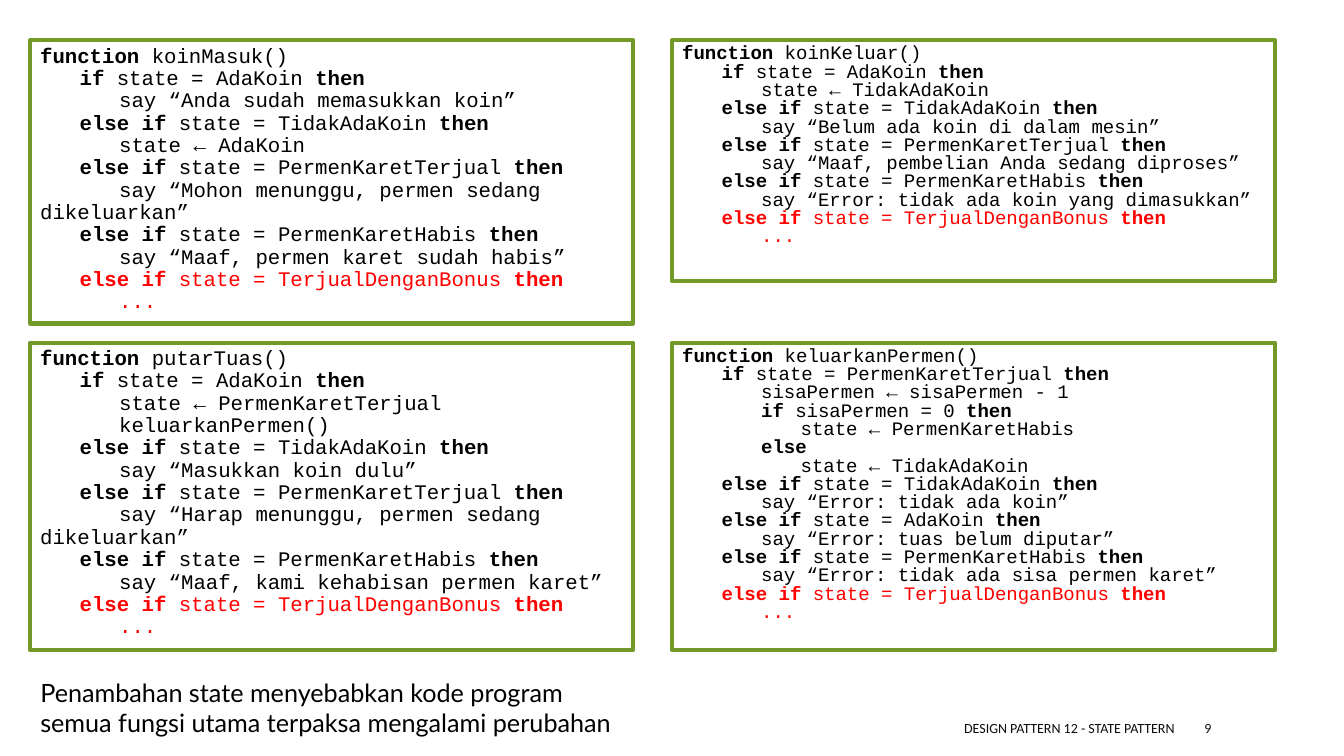
"""Build the slide showing the four state functions that a new state forces to change."""
from typing import NamedTuple

from lxml import etree
from pptx import Presentation
from pptx import util as u
from pptx.dml import color
from pptx.enum import shapes, text
from pptx.oxml import ns

GREEN, RED, BLACK, GREY = "739A28", "FF0000", "000000", "0D0D0D"
TAB_STEP = 28.2
COLUMNS = (21.6, 480.2)
ROWS = (28.8, 244.8)
PANEL_WIDTH = 430.6
OPENERS = ("function", "else if", "if", "else")
CLOSER = "then"
BONUS_LINES = ("\telse if state = TerjualDenganBonus then", "\t\t...")


class CodeStyle(NamedTuple):
    """Size and line spacing of a code listing."""
    size: float
    spacing: float


class CodePanel(NamedTuple):
    """A framed function listing at a grid cell."""
    column: int
    row: int
    height: float
    style: CodeStyle
    lines: tuple[str, ...]


class Label(NamedTuple):
    """A line of footer text."""
    left: float
    width: float
    words: str
    alignment: text.PP_ALIGN


LARGE = CodeStyle(14.8, 0.9)
SMALL = CodeStyle(13.6, 0.8)

PANELS = (
    CodePanel(0, 0, 202.3, LARGE, (
        "function koinMasuk()",
        "\tif state = AdaKoin then",
        "\t\tsay “Anda sudah memasukkan koin”",
        "\telse if state = TidakAdaKoin then",
        "\t\tstate ← AdaKoin",
        "\telse if state = PermenKaretTerjual then",
        "\t\tsay “Mohon menunggu, permen sedang dikeluarkan”",
        "\telse if state = PermenKaretHabis then",
        "\t\tsay “Maaf, permen karet sudah habis”",
    )),
    CodePanel(1, 0, 172.1, SMALL, (
        "function koinKeluar()",
        "\tif state = AdaKoin then",
        "\t\tstate ← TidakAdaKoin",
        "\telse if state = TidakAdaKoin then",
        "\t\tsay “Belum ada koin di dalam mesin”",
        "\telse if state = PermenKaretTerjual then",
        "\t\tsay “Maaf, pembelian Anda sedang diproses”",
        "\telse if state = PermenKaretHabis then",
        "\t\tsay “Error: tidak ada koin yang dimasukkan”",
    )),
    CodePanel(0, 1, 219.6, LARGE, (
        "function putarTuas()",
        "\tif state = AdaKoin then",
        "\t\tstate ← PermenKaretTerjual",
        "\t\tkeluarkanPermen()",
        "\telse if state = TidakAdaKoin then",
        "\t\tsay “Masukkan koin dulu”",
        "\telse if state = PermenKaretTerjual then",
        "\t\tsay “Harap menunggu, permen sedang dikeluarkan”",
        "\telse if state = PermenKaretHabis then",
        "\t\tsay “Maaf, kami kehabisan permen karet”",
    )),
    CodePanel(1, 1, 219.6, SMALL, (
        "function keluarkanPermen()",
        "\tif state = PermenKaretTerjual then",
        "\t\tsisaPermen ← sisaPermen - 1",
        "\t\tif sisaPermen = 0 then",
        "\t\t\tstate ← PermenKaretHabis",
        "\t\telse",
        "\t\t\tstate ← TidakAdaKoin",
        "\telse if state = TidakAdaKoin then",
        "\t\tsay “Error: tidak ada koin”",
        "\telse if state = AdaKoin then",
        "\t\tsay “Error: tuas belum diputar”",
        "\telse if state = PermenKaretHabis then",
        "\t\tsay “Error: tidak ada sisa permen karet”",
    )),
)

FOOTER = (
    Label(381.6, 464.4, "DESIGN PATTERN 12 - STATE PATTERN", text.PP_ALIGN.RIGHT),
    Label(853.2, 76.3, "9", text.PP_ALIGN.LEFT),
)


def rgb(value: str) -> color.RGBColor:
    """Turn a hex string into a colour."""
    return color.RGBColor.from_string(value)


def set_font(paragraph, name: str, size: float, hue: str) -> None:
    """Set the font shared by all runs of a paragraph."""
    paragraph.font.name = name
    paragraph.font.size = u.Pt(size)
    paragraph.font.color.rgb = rgb(hue)


def add_tab_stops(paragraph) -> None:
    """Give a paragraph evenly spaced tab stops."""
    properties = paragraph._p.get_or_add_pPr()
    stops = etree.SubElement(properties, ns.qn("a:tabLst"))
    for number in range(1, 4):
        etree.SubElement(stops, ns.qn("a:tab"), pos=str(u.Pt(TAB_STEP * number)), algn="l")


def split_keywords(line: str) -> list[tuple[str, bool]]:
    """Split a code line into pieces, each with its bold flag."""
    code = line.lstrip("\t")
    indent = line[:len(line) - len(code)]
    opener = next((word for word in OPENERS if f"{code} ".startswith(f"{word} ")), "")
    rest = code[len(opener):]
    closer = CLOSER if rest.endswith(f" {CLOSER}") else ""
    middle = rest.removesuffix(closer)
    pieces = [(indent, False), (opener, True), (middle, False), (closer, True)]
    return [piece for piece in pieces if piece[0]]


def add_code_line(paragraph, line: str, style: CodeStyle, hue: str) -> None:
    """Write one code line with bold keywords."""
    add_tab_stops(paragraph)
    paragraph.alignment = text.PP_ALIGN.LEFT
    paragraph.line_spacing = style.spacing
    set_font(paragraph, "Courier New", style.size, hue)
    for words, bold in split_keywords(line):
        run = paragraph.add_run()
        run.text = words
        run.font.bold = bold


def add_panel(slide, panel: CodePanel) -> None:
    """Draw a framed function listing."""
    shape = slide.shapes.add_shape(
        shapes.MSO_SHAPE.RECTANGLE, u.Pt(COLUMNS[panel.column]), u.Pt(ROWS[panel.row]),
        u.Pt(PANEL_WIDTH), u.Pt(panel.height))
    shape.shadow.inherit = False
    shape.fill.background()
    shape.line.color.rgb = rgb(GREEN)
    shape.line.width = u.Pt(3)
    frame = shape.text_frame
    frame.word_wrap = True
    frame.vertical_anchor = text.MSO_ANCHOR.TOP
    for index, line in enumerate(panel.lines + BONUS_LINES):
        paragraph = frame.add_paragraph() if index else frame.paragraphs[0]
        add_code_line(paragraph, line, panel.style, RED if line in BONUS_LINES else BLACK)


def add_label(slide, label: Label) -> None:
    """Write one footer label."""
    box = slide.shapes.add_textbox(u.Pt(label.left), u.Pt(509.4), u.Pt(label.width), u.Pt(21.6))
    frame = box.text_frame
    frame.word_wrap = True
    frame.vertical_anchor = text.MSO_ANCHOR.MIDDLE
    paragraph = frame.paragraphs[0]
    paragraph.text = label.words
    paragraph.alignment = label.alignment
    set_font(paragraph, "Calibri", 10, GREY)


def set_title(slide) -> None:
    """Place the slide's message below the listings."""
    title = slide.shapes.title
    title.left, title.top = u.Pt(COLUMNS[0]), u.Pt(480.2)
    title.width, title.height = u.Pt(434.2), u.Pt(51.1)
    frame = title.text_frame
    frame.text = ("Penambahan state menyebabkan kode program "
                  "semua fungsi utama terpaksa mengalami perubahan")
    frame.word_wrap = True
    frame.auto_size = text.MSO_AUTO_SIZE.NONE
    frame.vertical_anchor = text.MSO_ANCHOR.TOP
    frame.paragraphs[0].alignment = text.PP_ALIGN.LEFT
    set_font(frame.paragraphs[0], "Lato", 18, BLACK)


presentation = Presentation()
presentation.slide_width, presentation.slide_height = u.Pt(960), u.Pt(540)
slide = presentation.slides.add_slide(presentation.slide_layouts.get_by_name("Title Only"))
for label in FOOTER:
    add_label(slide, label)
for panel in PANELS:
    add_panel(slide, panel)
set_title(slide)
presentation.save("out.pptx")
